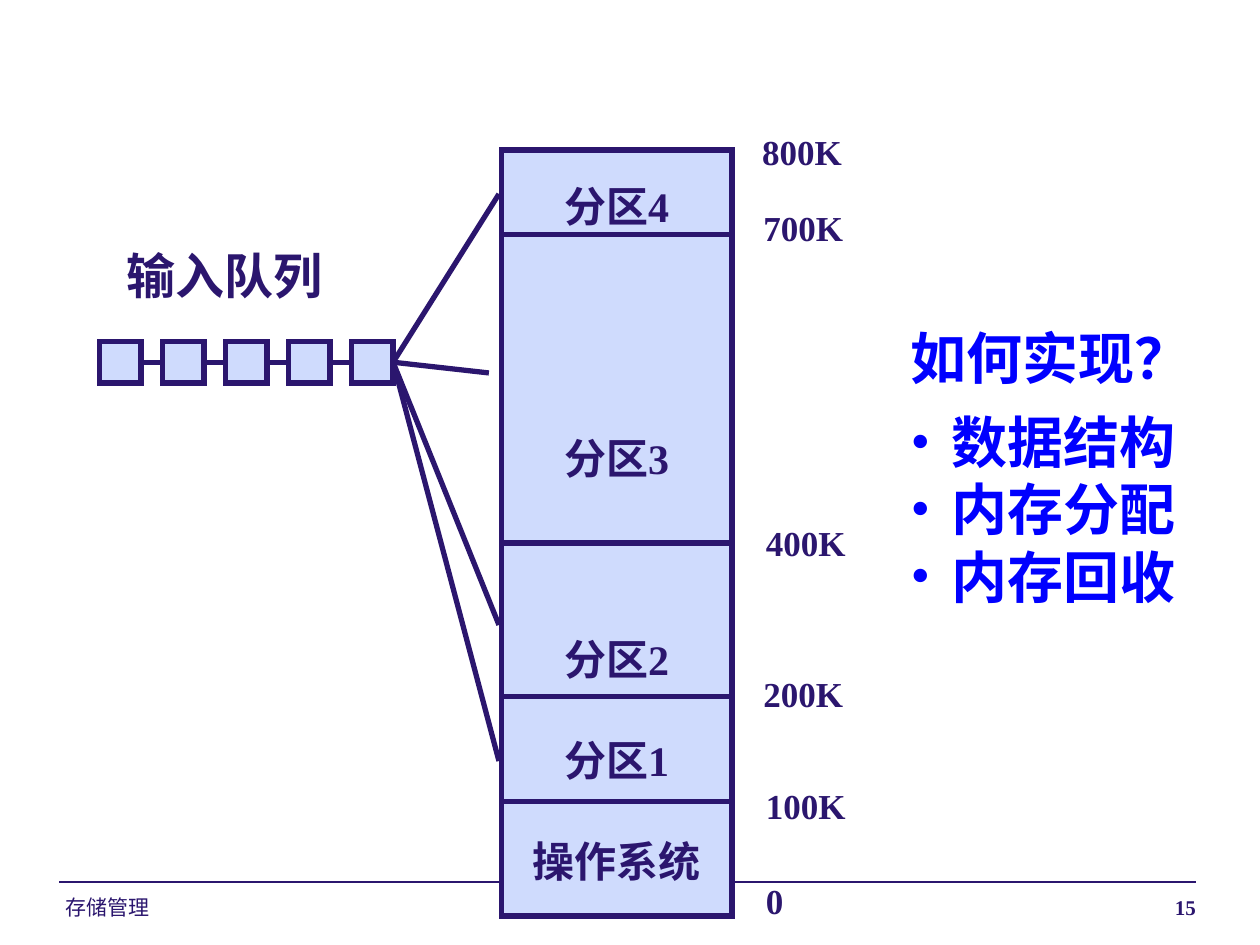
"""Build a slide on fixed memory partitions with one input queue."""
from lxml import etree
from pptx import Presentation, util as u
from pptx.dml.color import RGBColor
from pptx.enum import shapes, text
from pptx.oxml.ns import qn

INK, PALE, BLUE = "2B166E", "CFDBFD", "0000FF"


def write(frame, content, size=20, color=INK, font="Times New Roman", bold=True,
          align="LEFT", before=0, indent=0, bullet=None, first=True):
    """Write one formatted paragraph into a text frame."""
    paragraph = frame.paragraphs[0] if first else frame.add_paragraph()
    paragraph.alignment = getattr(text.PP_ALIGN, align)
    paragraph.space_before = u.Pt(before)
    run = paragraph.add_run()
    run.text = content
    run.font.size, run.font.bold, run.font.name = u.Pt(size), bold, font
    run.font.color.rgb = RGBColor.from_string(color)
    properties = paragraph._p.get_or_add_pPr()
    if indent:
        properties.set("marL", str(u.Inches(indent)))
        properties.set("indent", str(-u.Inches(indent)))
    if bullet:
        etree.SubElement(properties, qn("a:buFont")).set("typeface", font)
        etree.SubElement(properties, qn("a:buChar")).set("char", bullet)


def draw(kind, *box, width=3):
    """Draw a text box, a rectangle or a line, with lengths in inches."""
    lengths = [u.Inches(value) for value in box]
    if kind == "text":
        shape = slide.shapes.add_textbox(*lengths)
        shape.text_frame.word_wrap = False
        return shape
    if kind == "line":
        shape = slide.shapes.add_connector(shapes.MSO_CONNECTOR.STRAIGHT, *lengths)
        etree.SubElement(shape._element.spPr, qn("a:effectLst"))
    else:
        shape = slide.shapes.add_shape(shapes.MSO_SHAPE.RECTANGLE, *lengths)
        shape.shadow.inherit = False
        shape.fill.solid()
        shape.fill.fore_color.rgb = RGBColor.from_string(PALE)
    shape.line.color.rgb = RGBColor.from_string(INK)
    shape.line.width = u.Pt(width)
    outline = shape._element.spPr.find(qn("a:ln"))
    etree.SubElement(outline, qn("a:miter")).set("lim", "800000")
    return shape


presentation = Presentation()
presentation.slide_width, presentation.slide_height = u.Inches(10), u.Inches(7.5)
slide = presentation.slides.add_slide(presentation.slide_layouts[6])

draw("line", 0.47, 7, 9.49, 7, width=0.75)
footer = draw("text", 0.42, 7.05, 2.33, 0.24)
footer.text_frame.word_wrap = True
write(footer.text_frame, "存储管理", size=12, font="Arial", bold=False)
number = draw("text", 6.42, 7.05, 3.17, 0.24)
number.text_frame.word_wrap = True
write(number.text_frame, "15", size=12, align="RIGHT")

queue_title = draw("text", 0.91, 1.9, 1.8, 0.57)
write(queue_title.text_frame, "输入队列", size=28)

memory = draw("rectangle", 3.98, 1.19, 1.83, 6.08)
memory.text_frame.word_wrap = False
memory.text_frame.vertical_anchor = text.MSO_ANCHOR.MIDDLE
partitions = [("分区4", 0), ("分区3", 4), ("分区2", 3), ("分区1", 1), ("操作系统", 1)]
for index, (name, skipped_lines) in enumerate(partitions):
    write(memory.text_frame, name, size=24, align="CENTER",
          before=skipped_lines * 28.8, first=index == 0)
for boundary in (1.86, 4.31, 5.53, 6.36):
    draw("line", 3.98, boundary, 5.81, boundary)

addresses = [("800K", 5.95, 0.99), ("700K", 5.96, 1.59), ("400K", 5.98, 4.09),
             ("200K", 5.96, 5.29), ("100K", 5.98, 6.18), ("0", 5.98, 6.93)]
for address, left, top in addresses:
    label = draw("text", left, top, 0.9, 0.43)
    write(label.text_frame, address)

jobs = [draw("rectangle", 0.79 + 0.5 * index, 2.71, 0.33, 0.33) for index in range(5)]
for job, next_job in zip(jobs, jobs[1:]):
    link = draw("line", 0, 0, 1, 1)
    link.begin_connect(job, 3)
    link.end_connect(next_job, 1)
for x, y in ((3.96, 1.54), (3.88, 2.96), (3.96, 4.96), (3.96, 6.04)):
    draw("line", x, y, 3.12, 2.88).end_connect(jobs[-1], 3)

question = draw("text", 7.13, 2.52, 2.54, 2.39)
write(question.text_frame, "如何实现？", size=32, color=BLUE, indent=0.32)
for index, topic in enumerate(["数据结构", "内存分配", "内存回收"]):
    write(question.text_frame, topic, size=32, color=BLUE, indent=0.32, bullet="•",
          before=9.6 if index == 0 else 0, first=False)

presentation.save("out.pptx")
